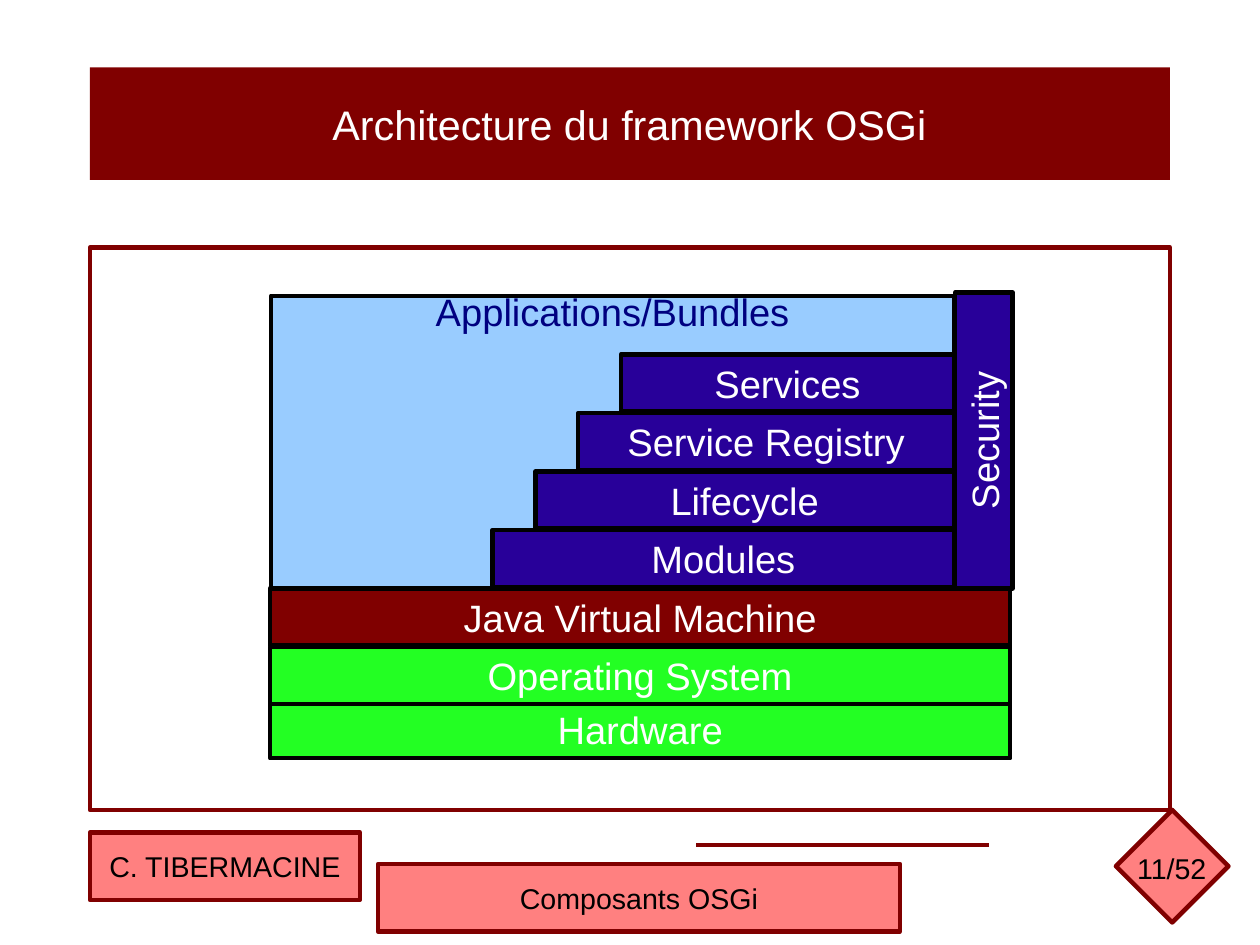
from lxml.etree import SubElement
from pptx import Presentation
from pptx.dml.color import RGBColor
from pptx.enum.shapes import MSO_CONNECTOR, MSO_SHAPE
from pptx.enum.text import MSO_ANCHOR, PP_ALIGN
from pptx.oxml.ns import qn
from pptx.util import Pt

PX = 9000  # a quarter of a millimetre
PAGE_WIDTH = 1120
PAGE_HEIGHT = 840
FONT = "Arial"
LINE_WIDTH = Pt(2.83)

BLACK = RGBColor(0x00, 0x00, 0x00)
WHITE = RGBColor(0xFF, 0xFF, 0xFF)
MAROON = RGBColor(0x80, 0x00, 0x00)
PINK = RGBColor(0xFF, 0x80, 0x80)
GREEN = RGBColor(0x23, 0xFF, 0x23)
INDIGO = RGBColor(0x28, 0x00, 0x99)
SKY = RGBColor(0x99, 0xCC, 0xFF)
NAVY = RGBColor(0x00, 0x00, 0x80)

LAYER_HEIGHT = 51
LAYER_STEP = 52
LAYERS_TOP = 315
STAIR_STEP = 38
STACK_LEFT = 240
STACK_WIDTH = 658
STAIR_LEFT = 438
STAIR_RIGHT = 848


def to_emu(*lengths):
    return [length * PX for length in lengths]


def write(shape, text, size, color, anchor=MSO_ANCHOR.MIDDLE, inset=(12, 7)):
    frame = shape.text_frame
    frame.word_wrap = True
    frame.vertical_anchor = anchor
    frame.margin_left = frame.margin_right = inset[0] * PX
    frame.margin_top = frame.margin_bottom = inset[1] * PX
    para = frame.paragraphs[0]
    para.alignment = PP_ALIGN.CENTER
    span = para.add_run()
    span.text = text
    span.font.name = FONT
    span.font.size = Pt(size)
    span.font.color.rgb = color
    return para


def add_box(page, bounds, fill=None, line=None, kind=MSO_SHAPE.RECTANGLE):
    box = page.shapes.add_shape(kind, *to_emu(*bounds))
    box.shadow.inherit = False
    if fill is None:
        box.fill.background()
    else:
        box.fill.solid()
        box.fill.fore_color.rgb = fill
    if line is None:
        box.line.fill.background()
    else:
        box.line.color.rgb = line
        box.line.width = LINE_WIDTH
    return box


def add_layer(page, text, bounds, fill):
    layer = add_box(page, bounds, fill, BLACK)
    write(layer, text, 24, WHITE)
    return layer


def add_rule(page, start, end):
    rule = page.shapes.add_connector(MSO_CONNECTOR.STRAIGHT, *to_emu(*start, *end))
    rule.line.color.rgb = MAROON
    rule.line.width = LINE_WIDTH
    SubElement(rule._element.spPr, qn("a:effectLst"))


def add_stack(page):
    """Draw the platform layers, the framework stairs and the security column."""
    add_layer(page, "Hardware", (STACK_LEFT, 623, STACK_WIDTH, LAYER_HEIGHT), GREEN)
    platform = [("Operating System", GREEN), ("Java Virtual Machine", MAROON)]
    for index, (text, fill) in enumerate(platform):
        top = LAYERS_TOP + (5 - index) * LAYER_STEP
        add_layer(page, text, (STACK_LEFT, top, STACK_WIDTH, LAYER_HEIGHT), fill)
    stairs = ["Modules", "Lifecycle", "Service Registry", "Services"]
    for index, text in enumerate(stairs):
        left = STAIR_LEFT + index * STAIR_STEP
        top = LAYERS_TOP + (3 - index) * LAYER_STEP
        add_layer(page, text, (left, top, STAIR_RIGHT - left, LAYER_HEIGHT), INDIGO)
    security = add_layer(page, "Security", (743, 366, 263, LAYER_HEIGHT), INDIGO)
    security.rotation = 270


def add_footer(page):
    author = add_box(page, (80, 740, 240, 60), PINK, MAROON)
    write(author, "C. TIBERMACINE", 18, BLACK)
    add_box(page, (992, 720, 100, 100), PINK, MAROON, MSO_SHAPE.DIAMOND)
    topic = add_box(page, (336, 768, 464, 60), PINK, MAROON)
    write(topic, "Composants OSGi", 18, BLACK)
    number = page.shapes.add_textbox(*to_emu(1000, 751, 83, 67))
    write(number, "11/52", 18, BLACK, MSO_ANCHOR.TOP, (5, 5))


def main():
    deck = Presentation()
    deck.slide_width = PAGE_WIDTH * PX
    deck.slide_height = PAGE_HEIGHT * PX
    page = deck.slides.add_slide(deck.slide_layouts[6])

    applications = add_box(page, (241, 263, 607, 312), SKY, BLACK)
    label = write(applications, "Applications/Bundles", 24, NAVY, MSO_ANCHOR.TOP, (12, 0))
    label.line_spacing = 0.85
    add_box(page, (80, 220, 960, 500), line=MAROON)
    add_rule(page, (879, 751), (619, 751))
    title = add_box(page, (80, 60, 960, 100), MAROON)
    write(title, "Architecture du framework OSGi", 26, WHITE)
    add_stack(page)
    add_footer(page)

    deck.save("out.pptx")


if __name__ == "__main__":
    main()
